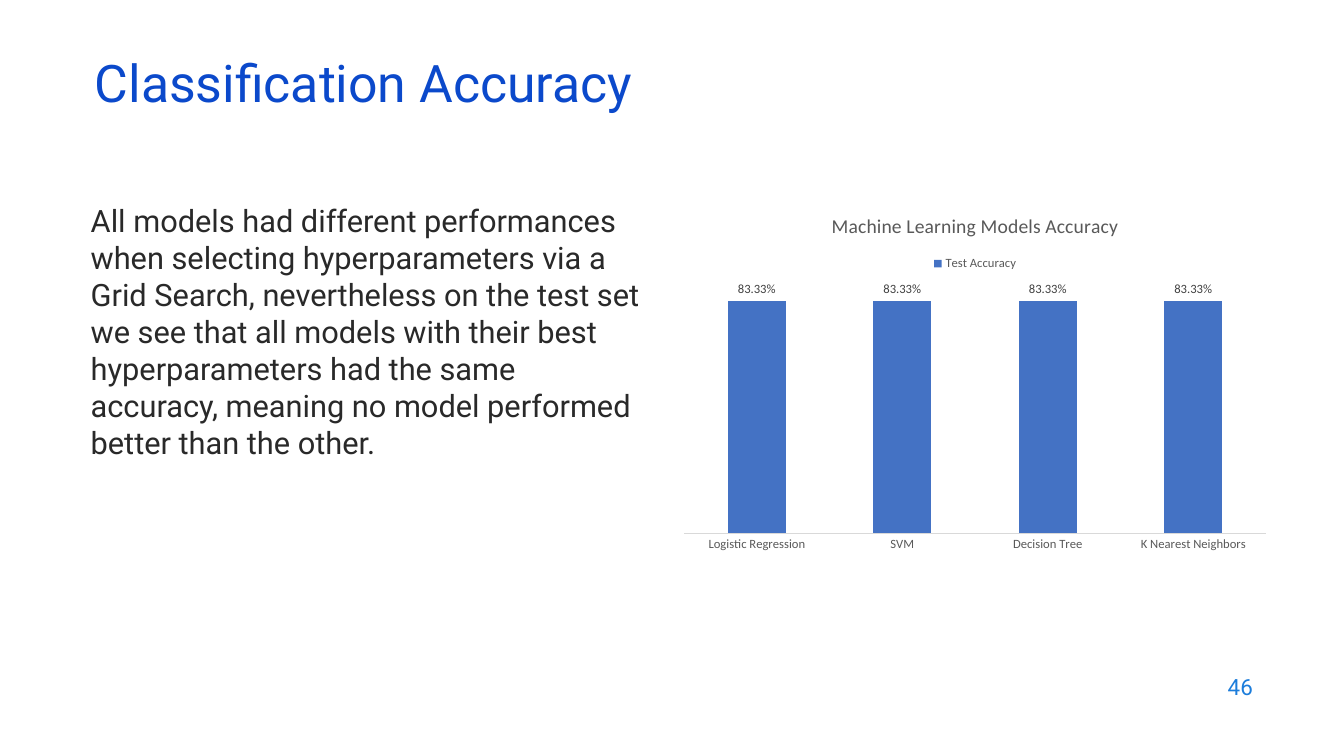
from pptx import Presentation
from pptx.chart.data import CategoryChartData
from pptx.dml.color import RGBColor
from pptx.enum.chart import XL_CHART_TYPE, XL_LABEL_POSITION, XL_LEGEND_POSITION, XL_TICK_MARK
from pptx.enum.text import MSO_ANCHOR, MSO_AUTO_SIZE, PP_ALIGN
from pptx.oxml.ns import qn
from pptx.util import Pt
from lxml.etree import SubElement


def colour(hex_code):
    return RGBColor.from_string(hex_code)


def style(font, family, size, hex_code):
    font.name = family
    font.size = Pt(size)
    font.bold = False
    font.color.rgb = colour(hex_code)


def place(region, box):
    region.left, region.top, region.width, region.height = map(Pt, box)


def write(region, wording, size, hex_code, anchor, align):
    frame = region.text_frame
    frame.text = wording
    frame.word_wrap = True
    frame.auto_size = MSO_AUTO_SIZE.NONE
    frame.vertical_anchor = anchor
    paragraph = frame.paragraphs[0]
    paragraph.alignment = align
    paragraph.space_before = Pt(0)
    style(paragraph.runs[0].font, "Roboto", size, hex_code)
    return paragraph


def add_heading(slide, box):
    heading = slide.shapes.title
    place(heading, box)
    line = write(heading, "Classification Accuracy", 37, "0B49CB", MSO_ANCHOR.MIDDLE, PP_ALIGN.LEFT)
    line.line_spacing = 0.7


def add_findings(slide, box):
    findings = slide.placeholders[1]
    place(findings, box)
    wording = (
        "All models had different performances when selecting hyperparameters via a "
        "Grid Search, nevertheless on the test set we see that all models with their best "
        "hyperparameters had the same accuracy, meaning no model performed better than the other."
    )
    paragraph = write(findings, wording, 22, "292929", MSO_ANCHOR.TOP, PP_ALIGN.LEFT)
    properties = paragraph._p.get_or_add_pPr()
    properties.set("marL", "0")
    properties.set("indent", "0")
    SubElement(properties, qn("a:buNone"))


def add_accuracy_chart(slide, box):
    models = ["Logistic Regression", "SVM", "Decision Tree", "K Nearest Neighbors"]
    accuracies = CategoryChartData(number_format="0.00%")
    accuracies.categories = models
    accuracies.add_series("Test Accuracy", [0.8333] * len(models))
    chart = slide.shapes.add_chart(
        XL_CHART_TYPE.COLUMN_CLUSTERED, *map(Pt, box), accuracies
    ).chart
    style(chart.font, "Calibri", 10, "000000")

    caption = chart.chart_title.text_frame
    caption.text = "Machine Learning Models Accuracy"
    style(caption.paragraphs[0].runs[0].font, "Calibri", 14, "595959")

    chart.has_legend = True
    chart.legend.position = XL_LEGEND_POSITION.TOP
    chart.legend.include_in_layout = False
    style(chart.legend.font, "Calibri", 9, "595959")

    model_axis = chart.category_axis
    model_axis.major_tick_mark = XL_TICK_MARK.NONE
    model_axis.format.line.color.rgb = colour("D9D9D9")
    model_axis.format.line.width = Pt(0.75)
    style(model_axis.tick_labels.font, "Calibri", 9, "595959")

    accuracy_axis = chart.value_axis
    accuracy_axis.has_major_gridlines = False
    accuracy_axis.minimum_scale = 0
    accuracy_axis.maximum_scale = 0.9
    accuracy_axis.visible = False

    columns = chart.plots[0]
    columns.vary_by_categories = False
    columns.gap_width = 150
    columns.overlap = -25
    test_accuracy = columns.series[0]
    test_accuracy.format.fill.solid()
    test_accuracy.format.fill.fore_color.rgb = colour("4472C4")

    labels = test_accuracy.data_labels
    labels.show_value = True
    labels.number_format = "0.00%"
    labels.number_format_is_linked = False
    labels.position = XL_LABEL_POSITION.OUTSIDE_END
    style(labels.font, "Calibri", 9, "404040")


def add_page_number(slide, box):
    page_number = slide.shapes.add_textbox(*map(Pt, box))
    write(page_number, "46", 16, "1C7DDB", MSO_ANCHOR.MIDDLE, PP_ALIGN.RIGHT)


def main():
    deck = Presentation()
    deck.slide_width, deck.slide_height = Pt(960), Pt(540)
    slide = deck.slides.add_slide(deck.slide_layouts[1])
    add_heading(slide, (60.5, 42.5, 828, 43))
    add_findings(slide, (57.6, 140.4, 409, 334))
    add_accuracy_chart(slide, (480, 140.4, 433, 259))
    add_page_number(slide, (686, 474.5, 216, 31.7))
    deck.save("out.pptx")


if __name__ == "__main__":
    main()
